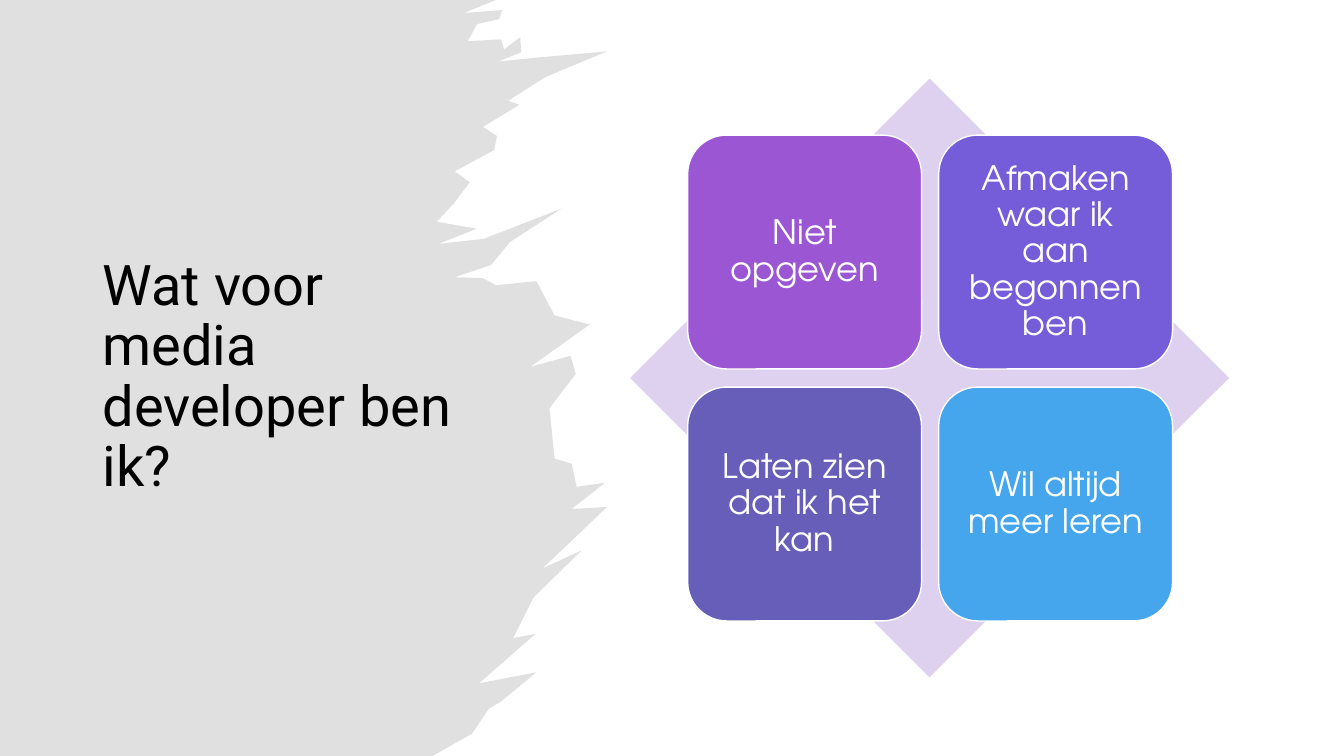
from lxml.etree import SubElement
from pptx import Presentation
from pptx.dml.color import RGBColor
from pptx.enum.shapes import MSO_SHAPE
from pptx.enum.text import MSO_ANCHOR, PP_ALIGN
from pptx.oxml.ns import qn
from pptx.util import Inches, Pt

COLORS = {
    "brush": "D9D9D9",
    "title": "000000",
    "white": "FFFFFF",
    "diamond": "DED1EF",
    "purple": "9B57D3",
    "violet": "755DD9",
    "indigo": "665EB8",
    "blue": "45A5ED",
}

TRAITS = [
    ("Niet opgeven", "purple"),
    ("Afmaken waar ik aan begonnen ben", "violet"),
    ("Laten zien dat ik het kan", "indigo"),
    ("Wil altijd meer leren", "blue"),
]

BRUSH_EDGE = [
    (4.92, 0), (4.6, 0.13), (4.98, 0.1), (4.95, 0.19), (4.73, 0.24), (4.64, 0.41),
    (4.97, 0.39), (5, 0.49), (5.16, 0.37), (5.17, 0.52), (4.94, 0.61), (5.35, 0.57),
    (6.02, 0.51), (5.4, 0.77), (5.04, 1), (5.15, 1.04), (4.79, 1.26), (4.93, 1.35),
    (4.9, 1.49), (4.51, 1.7), (4.66, 1.81), (4.5, 2.02), (4.33, 2.2), (4.73, 2.27),
    (4.35, 2.42), (4.8, 2.37), (5.57, 2.07), (5.06, 2.4), (4.87, 2.63), (4.51, 2.75),
    (4.79, 2.76), (4.92, 2.83), (5.32, 2.79), (5.5, 3.13), (5.85, 3.22), (5.26, 3.64),
    (5.66, 3.53), (5.71, 3.71), (5.45, 4.05), (5.5, 4.55), (5.67, 4.6), (5.72, 4.83),
    (6, 4.79), (5.67, 5.05), (6.02, 5.03), (5.78, 5.26), (5.38, 5.64), (5.77, 5.46),
    (5.29, 5.93), (5.09, 6.33), (5.31, 6.29), (4.75, 6.78), (5.32, 6.67), (4.97, 6.96),
    (4.85, 7.03), (4.68, 7.28), (4.29, 7.5),
]


def color(name):
    return RGBColor.from_string(COLORS[name])


def paint(shape, fill, line=None):
    shape.shadow.inherit = False
    shape.fill.solid()
    shape.fill.fore_color.rgb = color(fill)
    if line:
        shape.line.color.rgb = color(line)
        shape.line.width = Pt(1)
    else:
        shape.line.fill.background()


def add_brush(slide):
    builder = slide.shapes.build_freeform(0, 0)
    outline = BRUSH_EDGE + [(0, 7.5)]
    builder.add_line_segments([(Inches(x), Inches(y)) for x, y in outline], close=True)
    brush = builder.convert_to_shape()
    paint(brush, "brush")
    fill_color = next(brush.element.spPr.iter(qn("a:srgbClr")))
    SubElement(fill_color, qn("a:alpha"), val="80000")


def write_text(shape, text, font, size, font_color, alignment):
    frame = shape.text_frame
    frame.text = text
    frame.word_wrap = True
    frame.vertical_anchor = MSO_ANCHOR.MIDDLE
    paragraph = frame.paragraphs[0]
    paragraph.alignment = alignment
    paragraph.line_spacing = 0.9
    run = paragraph.runs[0]
    run.font.name = font
    run.font.size = Pt(size)
    run.font.color.rgb = color(font_color)


def add_title(slide):
    title = slide.shapes.add_textbox(Inches(0.92), Inches(0.78), Inches(3.85), Inches(5.94))
    write_text(title, "Wat voor media developer ben ik?", "Roboto", 40, "title", PP_ALIGN.LEFT)


def add_diamond(slide):
    diamond = slide.shapes.add_shape(
        MSO_SHAPE.DIAMOND, Inches(6.25), Inches(0.78), Inches(5.94), Inches(5.94)
    )
    paint(diamond, "diamond")


def add_trait(slide, index, text, fill):
    row, column = divmod(index, 2)
    tile = slide.shapes.add_shape(
        MSO_SHAPE.ROUNDED_RECTANGLE,
        Inches(6.82 + 2.49 * column), Inches(1.34 + 2.5 * row), Inches(2.32), Inches(2.32),
    )
    paint(tile, fill, "white")
    write_text(tile, text, "TeX Gyre Adventor", 24, "white", PP_ALIGN.CENTER)
    frame = tile.text_frame
    frame.margin_left = frame.margin_right = Inches(0.1)
    frame.margin_top = frame.margin_bottom = Inches(0.1)


def main():
    presentation = Presentation()
    presentation.slide_width = Inches(13.33)
    presentation.slide_height = Inches(7.5)
    slide = presentation.slides.add_slide(presentation.slide_layouts[6])
    add_brush(slide)
    add_title(slide)
    add_diamond(slide)
    for index, (text, fill) in enumerate(TRAITS):
        add_trait(slide, index, text, fill)
    presentation.save("out.pptx")


if __name__ == "__main__":
    main()
